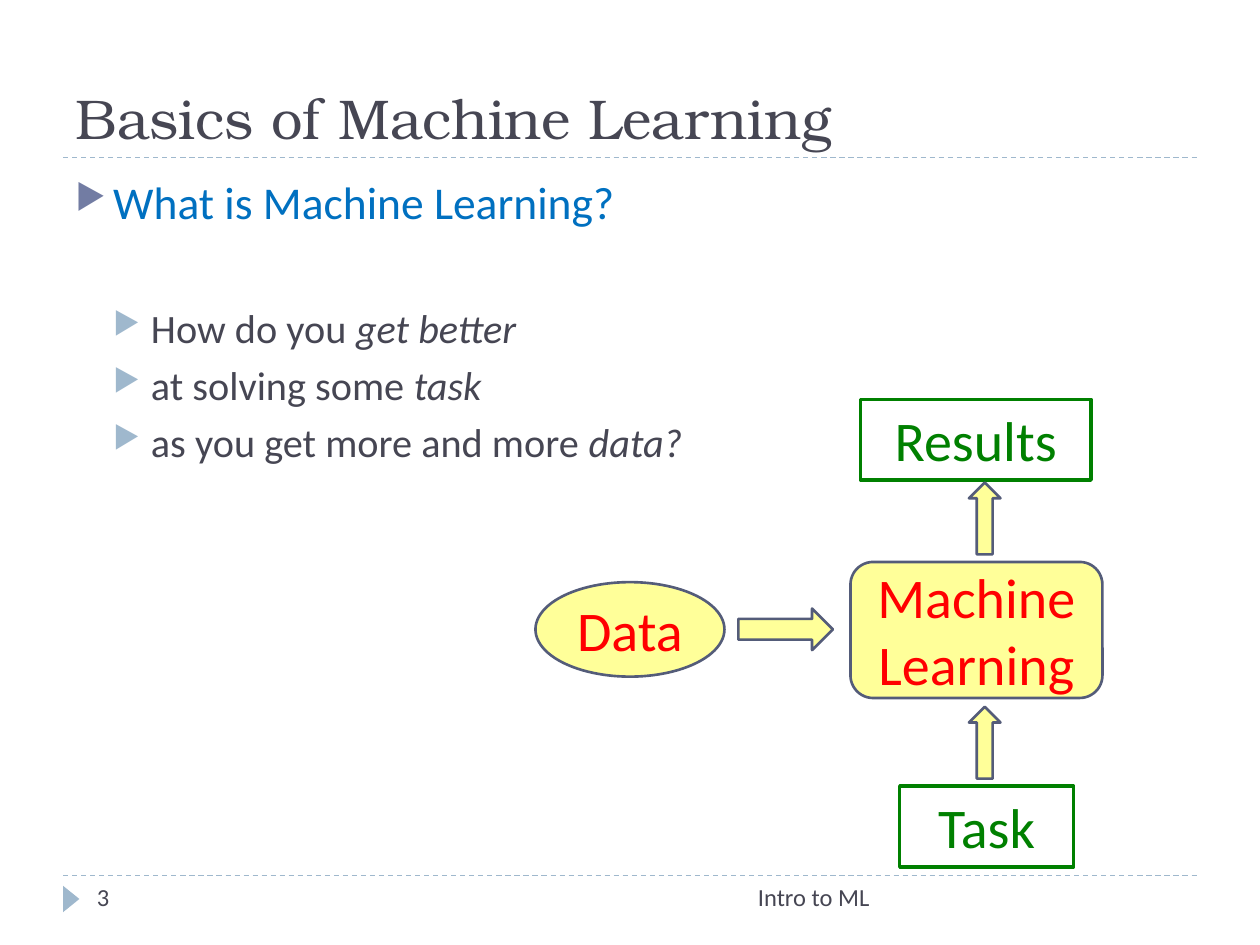
from dataclasses import dataclass

from lxml import etree
from pptx import Presentation
from pptx.dml.color import RGBColor
from pptx.enum.dml import MSO_LINE
from pptx.enum.shapes import MSO_CONNECTOR, MSO_SHAPE
from pptx.enum.text import MSO_ANCHOR, MSO_AUTO_SIZE, PP_ALIGN
from pptx.oxml.ns import qn
from pptx.util import Inches, Pt

LEFT, CENTER, RIGHT = PP_ALIGN.LEFT, PP_ALIGN.CENTER, PP_ALIGN.RIGHT
TOP, MIDDLE, BOTTOM = MSO_ANCHOR.TOP, MSO_ANCHOR.MIDDLE, MSO_ANCHOR.BOTTOM
RECT, ROUND, OVAL = MSO_SHAPE.RECTANGLE, MSO_SHAPE.ROUNDED_RECTANGLE, MSO_SHAPE.OVAL
ACROSS, UP = MSO_SHAPE.RIGHT_ARROW, MSO_SHAPE.UP_ARROW
MARK = MSO_SHAPE.ISOSCELES_TRIANGLE


@dataclass(frozen=True)
class Theme:
    ink: str = "464653"
    topic: str = "0070C0"
    bullet: str = "727CA3"
    pale: str = "9FB8CD"
    edge: str = "545C79"
    yellow: str = "FFFF00"
    red: str = "FF0000"
    green: str = "008000"
    serif: str = "TeX Gyre Bonum"
    sans: str = "Calibri"
    big: int = 32
    head: int = 26
    item: int = 23
    small: int = 14


THEME = Theme()


def rgb(code):
    return RGBColor.from_string(code)


def add_text(para, text, size=THEME.big, color=THEME.ink, font=THEME.sans,
             align=LEFT, italic=False):
    """Append one formatted run to a paragraph."""
    para.alignment = align
    run = para.add_run()
    run.text = text
    run.font.name = font
    run.font.size = Pt(size)
    run.font.italic = italic
    run.font.color.rgb = rgb(color)


def set_frame(frame, anchor=TOP):
    frame.word_wrap = True
    frame.auto_size = MSO_AUTO_SIZE.NONE
    frame.vertical_anchor = anchor
    return frame.paragraphs[0]


def add_box(slide, place, anchor=TOP):
    frame = slide.shapes.add_textbox(*map(Inches, place)).text_frame
    set_frame(frame, anchor)
    return frame


def add_shape(slide, kind, place, fill=None, line=None, width=1.5, alpha=None):
    shape = slide.shapes.add_shape(kind, *map(Inches, place))
    shape.shadow.inherit = False
    if fill:
        shape.fill.solid()
        shape.fill.fore_color.rgb = rgb(fill)
    else:
        shape.fill.background()
    if alpha:
        tint = shape.fill._xPr.find(qn("a:solidFill"))[0]
        etree.SubElement(tint, qn("a:alpha"), val=str(alpha * 1000))
    if line:
        shape.line.color.rgb = rgb(line)
        shape.line.width = Pt(width)
    else:
        shape.line.fill.background()
    return shape


def add_part(slide, kind, place, text=None):
    """Yellow see-through part of the diagram."""
    shape = add_shape(slide, kind, place, THEME.yellow, THEME.edge, alpha=40)
    if text:
        para = set_frame(shape.text_frame, MIDDLE)
        add_text(para, text, color=THEME.red, align=CENTER)


def add_label(slide, place, text):
    """Green outlined box."""
    shape = add_shape(slide, RECT, place, line=THEME.green, width=2)
    add_text(set_frame(shape.text_frame), text, color=THEME.green, align=CENTER)


def add_rule(slide, y):
    rule = slide.shapes.add_connector(
        MSO_CONNECTOR.STRAIGHT, Inches(0.5), Inches(y), Inches(9.5), Inches(y))
    rule.line.color.rgb = rgb(THEME.pale)
    rule.line.width = Pt(0.75)
    rule.line.dash_style = MSO_LINE.DASH
    etree.SubElement(rule._element.spPr, qn("a:effectLst"))


def set_bullet(para, color, level, before):
    para.level = level
    para.space_before = Pt(before)
    props = para._p.get_or_add_pPr()
    props.set("marL", str(Inches(0.3 * (level + 1))))
    props.set("indent", str(Inches(-0.3)))
    tint = etree.SubElement(props, qn("a:buClr"))
    etree.SubElement(tint, qn("a:srgbClr"), val=color)
    etree.SubElement(props, qn("a:buSzPct"), val="76000")
    etree.SubElement(props, qn("a:buChar"), char="▶")


def add_title(slide, text):
    title = slide.shapes.title
    title.left, title.top, title.width, title.height = map(
        Inches, (0.5, 0.17, 9, 1.08))
    add_text(set_frame(title.text_frame, BOTTOM), text, font=THEME.serif)


def add_body(slide):
    frame = add_box(slide, (0.5, 1.33, 9, 5.4))
    para = frame.paragraphs[0]
    set_bullet(para, THEME.bullet, 0, 6)
    add_text(para, "What is Machine Learning?", size=THEME.head, color=THEME.topic)
    items = [("How do you ", "get better", 43),
             ("at solving some ", "task", 5),
             ("as you get more and more ", "data?", 5)]
    for plain, slant, before in items:
        para = frame.add_paragraph()
        set_bullet(para, THEME.pale, 1, before)
        add_text(para, plain, size=THEME.item)
        add_text(para, slant, size=THEME.item, italic=True)


def add_footer(slide):
    mark = add_shape(slide, MARK, (0.46, 7.07, 0.21, 0.13), THEME.pale)
    mark.rotation = 90
    notes = [("Intro to ML", (3.17, 6.95, 3.83, 0.4), RIGHT),
             ("3", (0.67, 6.95, 2.17, 0.4), LEFT)]
    for text, place, align in notes:
        para = add_box(slide, place).paragraphs[0]
        add_text(para, text, size=THEME.small, align=align)


def add_flow(slide):
    add_part(slide, ROUND, (6.75, 4.46, 2, 1.08), "Machine Learning")
    add_part(slide, OVAL, (4.25, 4.62, 1.5, 0.75), "Data")
    add_label(slide, (6.83, 3.17, 1.83, 0.64), "Results")
    add_label(slide, (7.14, 6.24, 1.38, 0.64), "Task")
    add_part(slide, ACROSS, (5.86, 4.83, 0.75, 0.33))
    for y in (5.61, 3.83):
        add_part(slide, UP, (7.69, y, 0.25, 0.57))


def main():
    deck = Presentation()
    deck.slide_width, deck.slide_height = Inches(10), Inches(7.5)
    slide = deck.slides.add_slide(deck.slide_layouts[5])

    # Frame of the slide
    for y in (6.95, 1.25):
        add_rule(slide, y)
    add_title(slide, "Basics of Machine Learning")
    add_footer(slide)

    # Content
    add_body(slide)
    add_flow(slide)
    deck.save("out.pptx")


if __name__ == "__main__":
    main()
